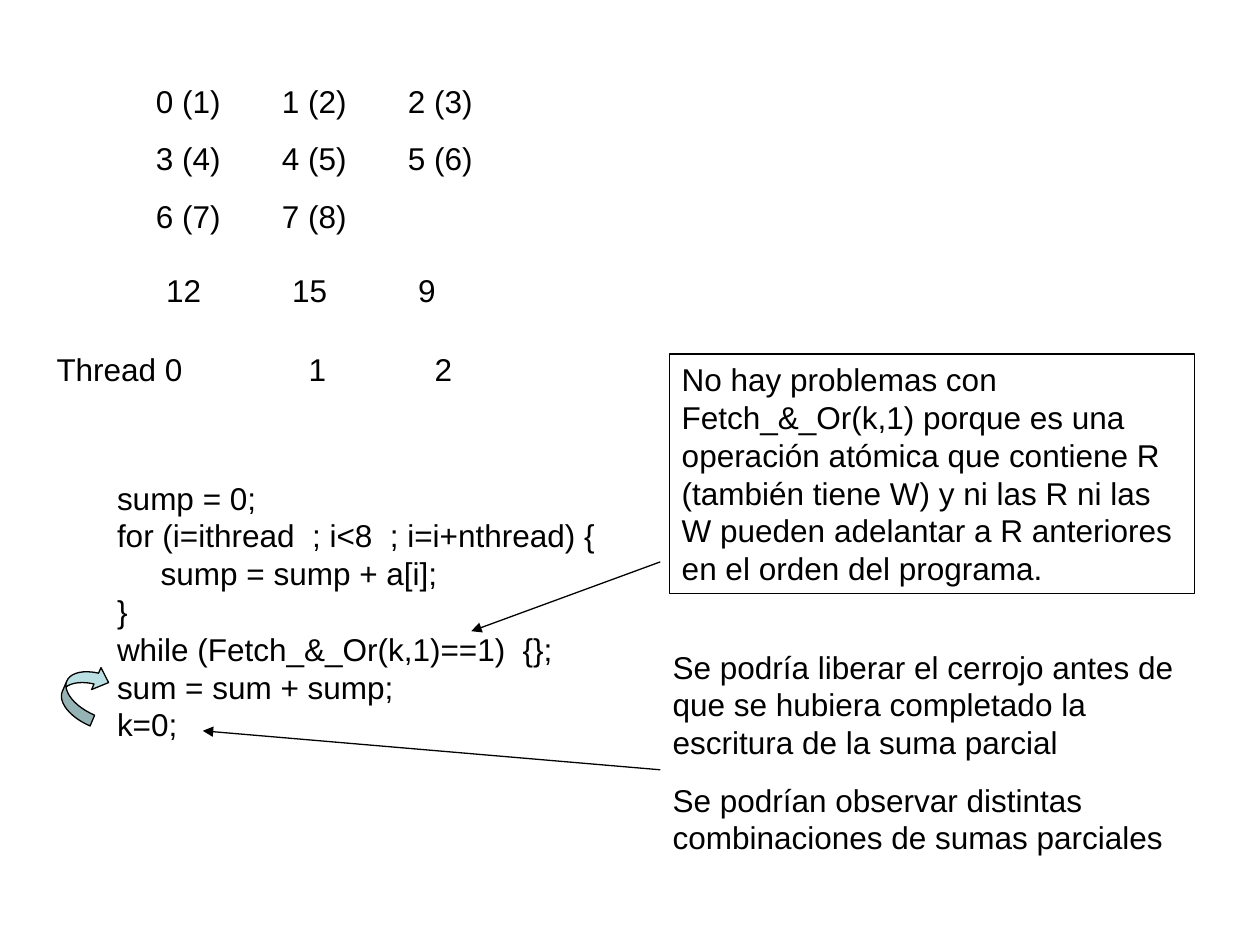
import pptx
import pptx.dml.color
import pptx.enum.shapes
import pptx.enum.text
import pptx.oxml.ns
import pptx.util
from lxml import etree

Pt = pptx.util.Pt
SHAPES = pptx.enum.shapes.MSO_SHAPE
COLORS = {"ink": "000000", "arrow": "BBE0E3"}
TAB_STOP = 72
PARAGRAPH_GAP = 11.2

CODE = [
    "sump = 0;",
    "for (i=ithread  ; i<8  ; i=i+nthread) {",
    "     sump = sump + a[i];",
    "}",
    "while (Fetch_&_Or(k,1)==1)  {};",
    "sum = sum + sump;",
    "k=0;",
]
ATOMIC_NOTE = (
    "No hay problemas con Fetch_&_Or(k,1) porque es una operación atómica que "
    "contiene R (también tiene W) y ni las R ni las W pueden adelantar a R "
    "anteriores en el orden del programa."
)
LOCK_NOTES = [
    "Se podría liberar el cerrojo antes de que se hubiera completado la "
    "escritura de la suma parcial",
    "Se podrían observar distintas combinaciones de sumas parciales",
]


def color(name):
    return pptx.dml.color.RGBColor.from_string(COLORS[name])


def add_child(parent, tag, **attributes):
    return etree.SubElement(parent, pptx.oxml.ns.qn(tag), attributes)


def set_line(shape):
    shape.line.color.rgb = color("ink")
    shape.line.width = Pt(0.75)


def add_tab_stops(paragraph, count):
    tabs = add_child(paragraph._p.get_or_add_pPr(), "a:tabLst")
    for number in range(1, count + 1):
        add_child(tabs, "a:tab", pos=str(Pt(number * TAB_STOP)), algn="l")


def write_text(shape, lines, gap=0):
    frame = shape.text_frame
    frame.word_wrap = True
    frame.vertical_anchor = pptx.enum.text.MSO_ANCHOR.TOP
    frame.text = "\n".join(lines)
    for index, paragraph in enumerate(frame.paragraphs):
        if "\t" in lines[index]:
            add_tab_stops(paragraph, 3)
        paragraph.alignment = pptx.enum.text.PP_ALIGN.LEFT
        if index and gap:
            paragraph.space_before = Pt(gap)
        for run in paragraph.runs:
            run.font.name = "Arial"
            run.font.size = Pt(18)
            run.font.color.rgb = color("ink")


def add_text(slide, left, top, width, height, lines, gap=0):
    box = slide.shapes.add_textbox(Pt(left), Pt(top), Pt(width), Pt(height))
    write_text(box, lines, gap)


def add_framed_note(slide, left, top, width, height, text):
    note = slide.shapes.add_shape(
        SHAPES.RECTANGLE, Pt(left), Pt(top), Pt(width), Pt(height))
    note.shadow.inherit = False
    note.fill.background()
    set_line(note)
    write_text(note, [text])


def add_reorder_arrow(slide, left, top, width, height):
    arrow = slide.shapes.add_shape(
        SHAPES.CURVED_LEFT_ARROW, Pt(left), Pt(top), Pt(width), Pt(height))
    arrow.shadow.inherit = False
    arrow.rotation = 203.1
    for index, value in enumerate((0.3, 0.61, 0.33)):
        arrow.adjustments[index] = value
    arrow.fill.solid()
    arrow.fill.fore_color.rgb = color("arrow")
    set_line(arrow)


def add_pointer(slide, start, end):
    pointer = slide.shapes.add_connector(
        pptx.enum.shapes.MSO_CONNECTOR.STRAIGHT,
        *[Pt(value) for value in start + end])
    set_line(pointer)
    add_child(pointer.line._get_or_add_ln(), "a:tailEnd", type="triangle")
    add_child(pointer._element.spPr, "a:effectLst")


def main():
    presentation = pptx.Presentation()
    presentation.slide_width = Pt(720)
    presentation.slide_height = Pt(540)
    slide = presentation.slides.add_slide(presentation.slide_layouts[6])

    iterations = ["0 (1)\t1 (2)\t2 (3)", "3 (4)\t4 (5)\t5 (6)", "6 (7)\t7 (8)"]
    add_text(slide, 82, 43.2, 244, 95, iterations, PARAGRAPH_GAP)
    add_text(slide, 87.9, 151.2, 260.6, 28.8, ["12\t15\t9"])
    add_text(slide, 59.8, 270, 311.8, 191.5, CODE)
    add_reorder_arrow(slide, 36.7, 378, 22.3, 33.8)
    add_text(slide, 377.3, 366.5, 306, 126.7, LOCK_NOTES, PARAGRAPH_GAP)
    add_text(slide, 25.2, 196.6, 278, 28.8, ["Thread 0\t1\t2"])
    add_framed_note(slide, 382.5, 202.3, 300.2, 136.8, ATOMIC_NOTE)
    add_pointer(slide, (377.3, 321.1), (269.3, 360.7))
    add_pointer(slide, (377.3, 439.9), (115.9, 417.6))

    presentation.save("out.pptx")


if __name__ == "__main__":
    main()
